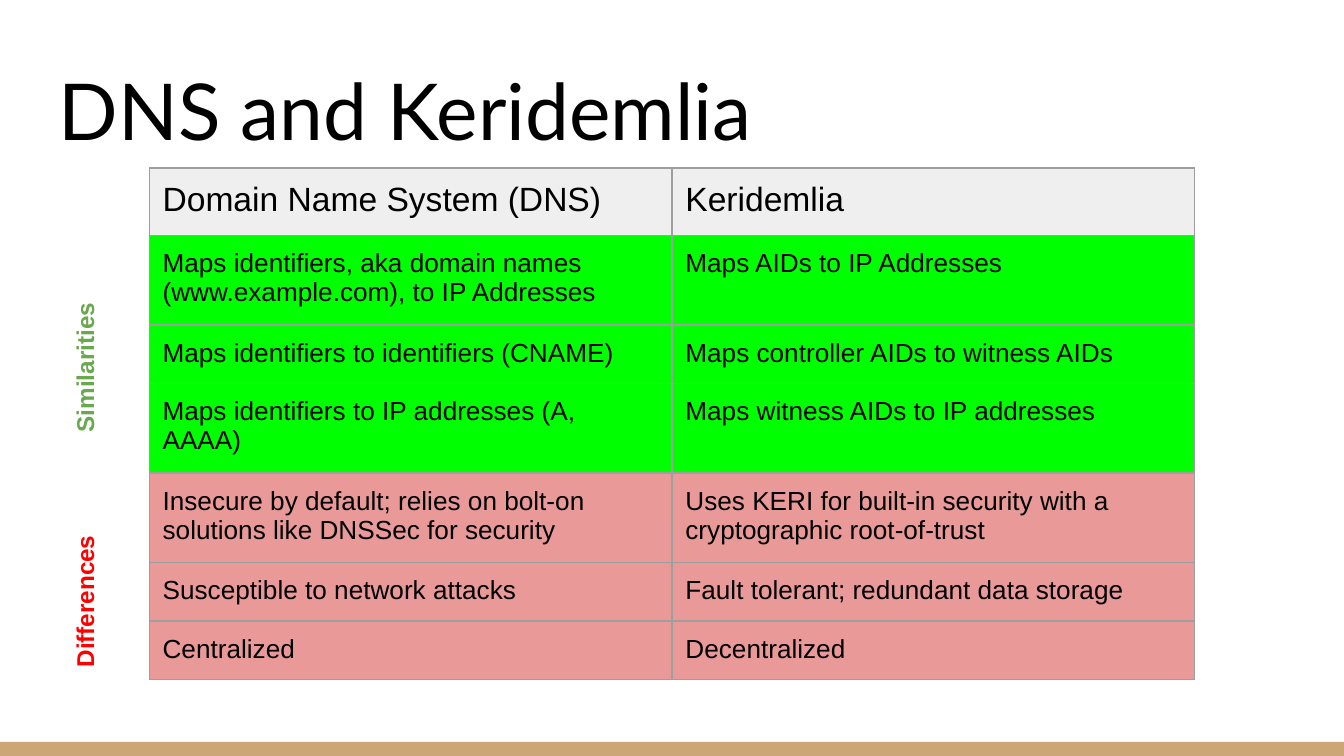
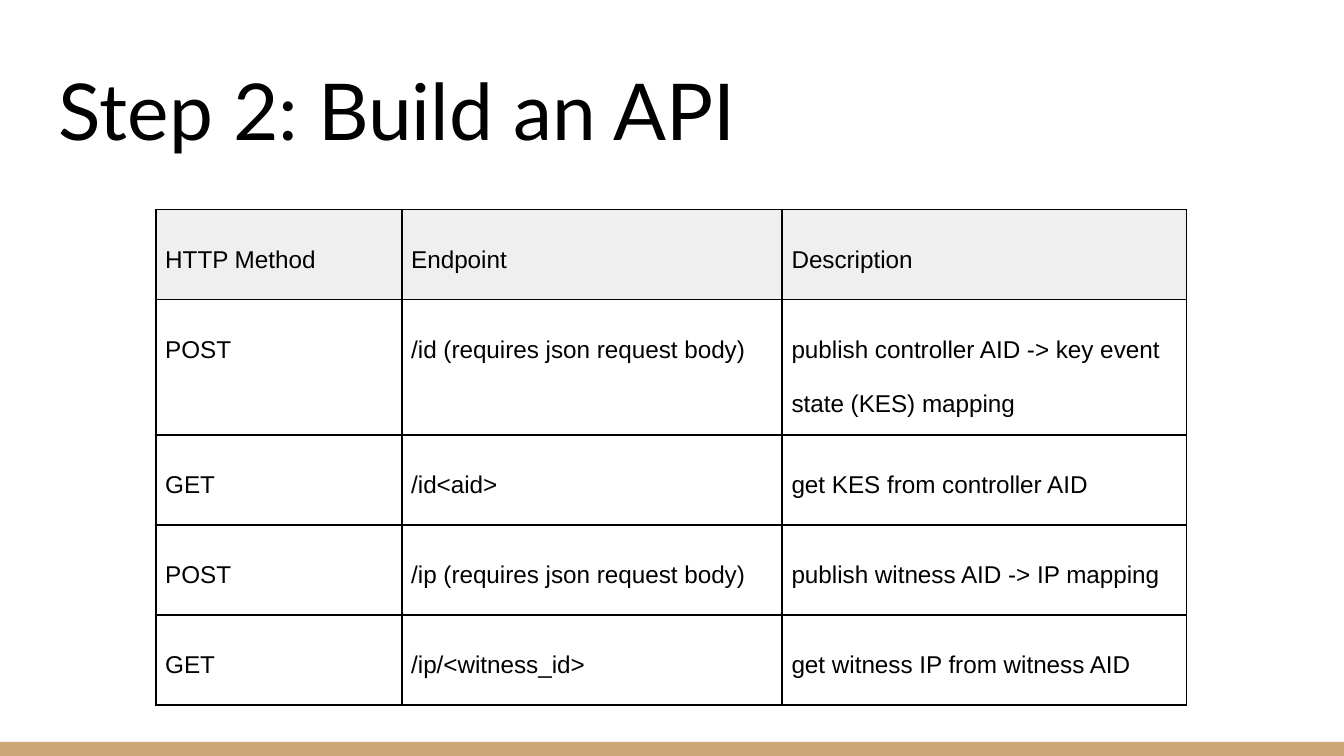
from lxml import etree
from pptx import Presentation
from pptx.dml.color import RGBColor
from pptx.enum.shapes import MSO_SHAPE as Shape
from pptx.enum.text import MSO_ANCHOR as Anchor, PP_ALIGN as Align
from pptx.oxml.ns import qn
from pptx.util import Inches, Pt

BLACK, WHITE, GOLD, HEADER = "000000", "FFFFFF", "CCA677", "EFEFEF"
GREEN, PINK = "00FF00", "EA9999"
SIDES = ("left", "top", "right", "bottom")
TABLE_SIDE = 3.28

COMPARISON = {
    "title": "DNS and Keridemlia",
    "rows": [
        ("Domain Name System (DNS)", "Keridemlia"),
        ("Maps identifiers, aka domain names (www.example.com), to IP Addresses",
         "Maps AIDs to IP Addresses"),
        ("Maps identifiers to identifiers (CNAME)", "Maps controller AIDs to witness AIDs"),
        ("Maps identifiers to IP addresses (A, AAAA)", "Maps witness AIDs to IP addresses"),
        ("Insecure by default; relies on bolt-on solutions like DNSSec for security",
         "Uses KERI for built-in security with a cryptographic root-of-trust"),
        ("Susceptible to network attacks", "Fault tolerant; redundant data storage"),
        ("Centralized", "Decentralized"),
    ],
    "fills": [HEADER] + [GREEN] * 3 + [PINK] * 3,
    "place": (1.11, 1.25),
    "columns": [3.89, 3.89],
    "heights": [0.49] + [0.42] * 6,
    "sizes": [18] + [14] * 6,
    "inset": 0.1,
    "border": ("9E9E9E", 0.75),
    "spacing": 1.0,
    "side_labels": [("Similarities", 2.55, "6AA84F"), ("Differences", 4.29, "FF0000")],
}

API = {
    "title": "Step 2: Build an API",
    "rows": [
        ("HTTP Method", "Endpoint", "Description"),
        ("POST", "/id (requires json request body)",
         "publish controller AID -> key event state (KES) mapping"),
        ("GET", "/id<aid>", "get KES from controller AID"),
        ("POST", "/ip (requires json request body)", "publish witness AID -> IP mapping"),
        ("GET", "/ip/<witness_id>", "get witness IP from witness AID"),
    ],
    "fills": [HEADER] + [None] * 4,
    "place": (1.16, 1.56),
    "columns": [1.83, 2.83, 3.01],
    "heights": [0.67] * 5,
    "sizes": [13] * 5,
    "inset": 0.07,
    "border": (BLACK, 1),
    "spacing": 2.0,
    "side_labels": [],
}


def color(value):
    return RGBColor.from_string(value)


def paint(fill, value):
    if value is None:
        fill.background()
        return
    fill.solid()
    fill.fore_color.rgb = color(value)


def set_margins(target, inset):
    for side in SIDES:
        setattr(target, f"margin_{side}", Inches(inset))


def write(frame, text, tone=BLACK, align=Align.LEFT, spacing=1.0, **font_format):
    paragraph = frame.paragraphs[0]
    paragraph.alignment = align
    paragraph.line_spacing = spacing
    run = paragraph.add_run()
    run.text = text
    for name, value in font_format.items():
        setattr(run.font, name, value)
    run.font.color.rgb = color(tone)


def add_text(slide, box, text, anchor=Anchor.TOP, rotation=0, **text_format):
    shape = slide.shapes.add_textbox(*map(Inches, box))
    shape.rotation = rotation
    frame = shape.text_frame
    frame.word_wrap = True
    frame.vertical_anchor = anchor
    set_margins(frame, 0.1)
    write(frame, text, **text_format)


def set_borders(cell, tone, width):
    properties = cell._tc.get_or_add_tcPr()
    for position, tag in enumerate(("a:lnL", "a:lnR", "a:lnT", "a:lnB")):
        line = etree.Element(qn(tag), w=str(Pt(width)))
        solid = etree.SubElement(line, qn("a:solidFill"))
        etree.SubElement(solid, qn("a:srgbClr"), val=tone)
        properties.insert(position, line)


def add_grid(slide, content):
    rows, columns, heights = (content[key] for key in ("rows", "columns", "heights"))
    box = (*content["place"], TABLE_SIDE, TABLE_SIDE)
    holder = slide.shapes.add_table(len(rows), len(columns), *map(Inches, box))
    table = holder.table
    table.first_row = table.horz_banding = False
    for column, width in zip(table.columns, columns):
        column.width = Inches(width)
    for row, texts, height, fill, size in zip(
            table.rows, rows, heights, content["fills"], content["sizes"]):
        row.height = Inches(height)
        for cell, text in zip(row.cells, texts):
            paint(cell.fill, fill)
            set_margins(cell, content["inset"])
            set_borders(cell, *content["border"])
            write(cell.text_frame, text, spacing=content["spacing"],
                  name="Arial", size=Pt(size))
    holder.width = holder.height = Inches(TABLE_SIDE)


def add_slide(presentation, content):
    slide = presentation.slides.add_slide(presentation.slide_layouts[6])
    paint(slide.background.fill, WHITE)
    band = slide.shapes.add_shape(Shape.RECTANGLE, *map(Inches, (0, 5.52, 10, 0.11)))
    band.shadow.inherit = False
    paint(band.fill, GOLD)
    band.line.fill.background()
    add_text(slide, (0.34, 0.35, 9.32, 0.91), content["title"],
             anchor=Anchor.BOTTOM, name="Lato", size=Pt(42))
    add_grid(slide, content)
    for text, top, tone in content["side_labels"]:
        add_text(slide, (-0.12, top, 1.45, 0.37), text, rotation=270, tone=tone,
                 align=Align.CENTER, name="Arial", size=Pt(13), bold=True)


def main():
    presentation = Presentation()
    presentation.slide_width = Inches(10)
    presentation.slide_height = presentation.slide_width * 9 // 16
    for content in (COMPARISON, API):
        add_slide(presentation, content)
    presentation.save("out.pptx")


if __name__ == "__main__":
    main()
